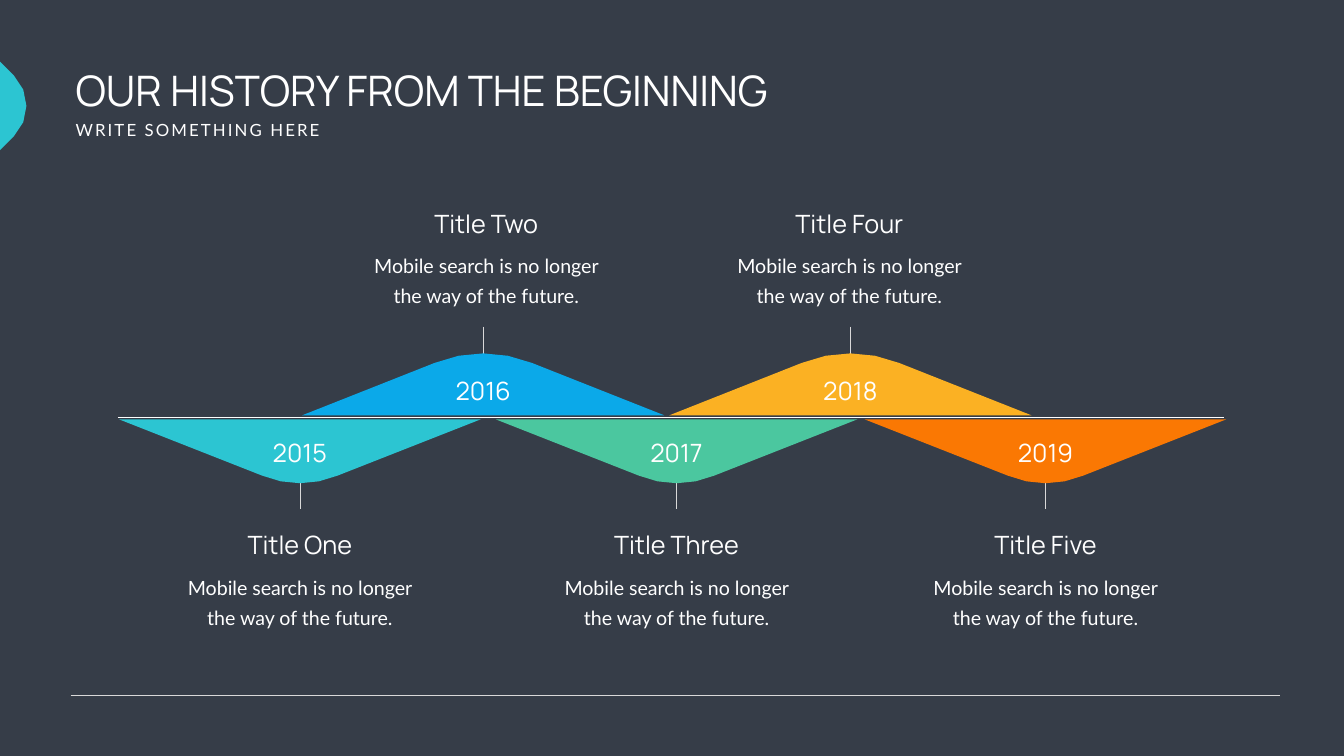
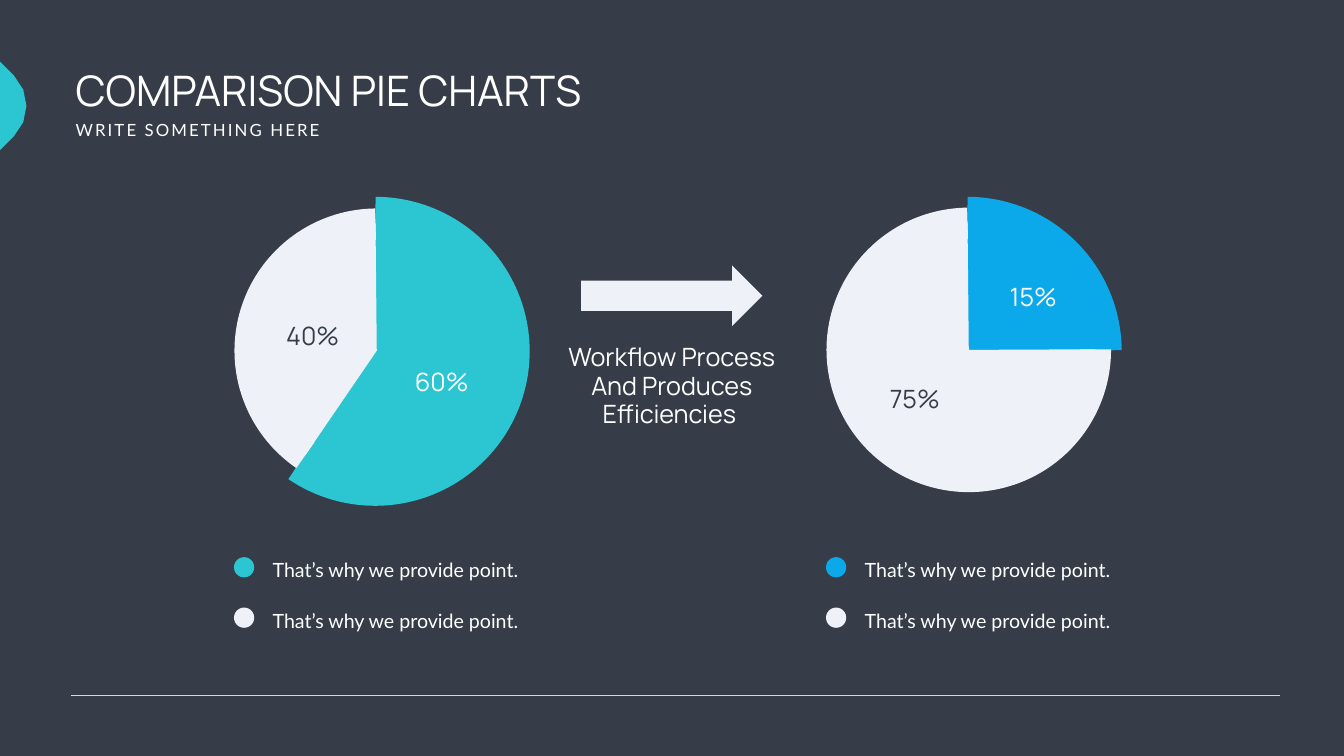
from dataclasses import dataclass

from lxml.etree import SubElement
from pptx import Presentation
from pptx.dml.color import RGBColor
from pptx.enum.shapes import MSO_CONNECTOR, MSO_SHAPE
from pptx.enum.text import MSO_ANCHOR, MSO_AUTO_SIZE, PP_ALIGN
from pptx.oxml.ns import qn
from pptx.util import Cm, Pt


@dataclass(frozen=True)
class Theme:
    """Colours, fonts and type sizes shared by the slides."""
    background: str = "363D48"
    white: str = "FFFFFF"
    pale: str = "EFF1F8"
    rule: str = "D9D9D9"
    teal: str = "2CC5D2"
    blue: str = "0BA9E9"
    green: str = "4BC79F"
    yellow: str = "FBB123"
    orange: str = "FA7803"
    heading_font: str = "Manrope"
    body_font: str = "Lato"
    title_size: float = 60
    heading_size: float = 36
    body_size: float = 28
    subtitle_size: float = 24
    body_leading: float = 43
    caption_leading: float = 40.8


@dataclass(frozen=True)
class Side:
    """Offsets in centimetres of one side of the timeline."""
    direction: int
    base: float
    shoulder: tuple
    control: tuple
    stem: tuple
    title_top: float
    year_top: float


@dataclass(frozen=True)
class Milestone:
    """One dated entry of the timeline."""
    year: str
    title: str
    color: str
    center: float
    title_width: float
    side: Side
    text_shift: float = 0


THEME = Theme()
ABOVE = Side(-1, 10.57, (2.45, 2.64), (0.88, 3.28), (6.1, 8.76), 0, 8.41)
BELOW = Side(1, 10.77, (1.9, 2.84), (0.69, 3.35), (12.65, 15.29), 16.21, 11.53)
MILESTONES = (
    Milestone("2015", "Title One", THEME.teal, 9.17, 6.15, BELOW),
    Milestone("2016", "Title Two", THEME.blue, 18.41, 6.12, ABOVE, 0.15),
    Milestone("2017", "Title Three", THEME.green, 28.15, 7.14, BELOW),
    Milestone("2018", "Title Four", THEME.yellow, 36.91, 6.32, ABOVE, -0.05),
    Milestone("2019", "Title Five", THEME.orange, 46.74, 6.05, BELOW),
)
MILESTONE_TEXT = "Mobile search is no longer the way of the future."
LEGEND_TEXT = "That’s why we provide point."


def rgb(color):
    """Return a colour object for a hexadecimal string."""
    return RGBColor.from_string(color)


def box_lengths(box):
    """Convert a box in centimetres to lengths."""
    return [Cm(value) for value in box]


def format_text(frame, text, *, size, font=THEME.heading_font, color=THEME.white,
                align=PP_ALIGN.LEFT, leading=None, tracking=None, wrap=True,
                insets=(0.25, 0.13)):
    """Write one formatted paragraph into a text frame."""
    frame.auto_size = MSO_AUTO_SIZE.NONE
    frame.word_wrap = wrap
    frame.vertical_anchor = MSO_ANCHOR.TOP
    frame.margin_left = frame.margin_right = Cm(insets[0])
    frame.margin_top = frame.margin_bottom = Cm(insets[1])
    paragraph = frame.paragraphs[0]
    paragraph.alignment = align
    if leading:
        paragraph.line_spacing = Pt(leading)
    run = paragraph.add_run()
    run.text = text
    run.font.name = font
    run.font.size = Pt(size)
    run.font.color.rgb = rgb(color)
    if tracking:
        run._r.get_or_add_rPr().set("spc", str(tracking * 100))


def add_text(slide, box, text, **style):
    """Add a text box with formatted text."""
    shape = slide.shapes.add_textbox(*box_lengths(box))
    format_text(shape.text_frame, text, **style)


def paint(shape, color, line_width=None):
    """Give a shape a flat fill and an optional line of the same colour."""
    shape.shadow.inherit = False
    shape.fill.solid()
    shape.fill.fore_color.rgb = rgb(color)
    if line_width:
        shape.line.color.rgb = rgb(color)
        shape.line.width = Pt(line_width)
    else:
        shape.line.fill.background()


def add_shape(slide, kind, box, color, line_width=None):
    """Add a flat preset shape."""
    shape = slide.shapes.add_shape(kind, *box_lengths(box))
    paint(shape, color, line_width)
    return shape


def add_line(slide, start, end, color, width):
    """Add a straight line without shadow."""
    connector = slide.shapes.add_connector(
        MSO_CONNECTOR.STRAIGHT, *box_lengths(start + end))
    connector.line.color.rgb = rgb(color)
    connector.line.width = Pt(width)
    SubElement(connector._element.spPr, qn("a:effectLst"))


def curve_points(start, first, second, end, steps=4):
    """Return points along a cubic curve."""
    points = []
    for step in range(steps + 1):
        t = step / steps
        u = 1 - t
        weights = (u ** 3, 3 * u * u * t, 3 * u * t * t, t ** 3)
        points.append(tuple(
            sum(weight * value for weight, value in zip(weights, axis))
            for axis in zip(start, first, second, end)))
    return points


def add_outline(slide, points, color):
    """Add a closed flat outline through points in centimetres."""
    corners = [(Cm(x), Cm(y)) for x, y in points]
    builder = slide.shapes.build_freeform(*corners[0])
    builder.add_line_segments(corners[1:], close=True)
    shape = builder.convert_to_shape()
    paint(shape, color)
    return shape


def add_accent(slide, left, top, size):
    """Add the rounded corner that points in from the slide edge."""
    right, bottom = left + size, top + size
    near, far = 0.31 * size, 0.69 * size
    curve = curve_points((left + far, bottom), (left + near, bottom),
                         (left, top + far), (left, top + near))
    shape = add_outline(slide, [(left, top), (right, bottom), *curve], THEME.teal)
    shape.rotation = 225


def start_slide(presentation, title, title_width):
    """Add a slide with the shared background, heading, accent and footer line."""
    slide = presentation.slides.add_slide(presentation.slide_layouts[5])
    slide.background.fill.solid()
    slide.background.fill.fore_color.rgb = rgb(THEME.background)
    add_line(slide, (3.56, 35.03), (64.52, 35.03), THEME.rule, 0.5)
    heading = slide.shapes.title
    heading.left, heading.top, heading.width, heading.height = box_lengths(
        (3.56, 3.13, title_width, 2.82))
    format_text(heading.text_frame, title, size=THEME.title_size)
    add_text(slide, (3.56, 5.92, 13.06, 1.27), "WRITE SOMETHING HERE",
             size=THEME.subtitle_size, font=THEME.body_font, tracking=3, wrap=False)
    add_accent(slide, -1.57, 3.76, 3.15)
    return slide


def add_peak(slide, center, base, side, color):
    """Add a rounded peak that rises from or hangs below its base."""
    half_width = 9.12

    def place(x, rise):
        return center + x, base + side.direction * rise

    (shoulder_x, shoulder_rise), (control_x, control_rise) = side.shoulder, side.control
    curve = curve_points(place(-shoulder_x, shoulder_rise), place(-control_x, control_rise),
                         place(control_x, control_rise), place(shoulder_x, shoulder_rise))
    add_outline(slide, [place(-half_width, 0), *curve, place(half_width, 0)], color)


def add_milestone(slide, left, top, milestone):
    """Add the stem, peak, year and texts of one milestone."""
    side = milestone.side
    center = left + milestone.center
    text_center = center + milestone.text_shift
    title_top = top + side.title_top
    heading = dict(size=THEME.heading_size, align=PP_ALIGN.CENTER, wrap=False)
    stem_top, stem_bottom = side.stem
    add_line(slide, (center, top + stem_top), (center, top + stem_bottom), THEME.rule, 1)
    add_peak(slide, center, top + side.base, side, milestone.color)
    add_text(slide, (center - 1.68, top + side.year_top, 3.35, 1.8),
             milestone.year, **heading)
    add_text(slide, (text_center - milestone.title_width / 2, title_top,
                     milestone.title_width, 1.8), milestone.title, **heading)
    add_text(slide, (text_center - 6.63, title_top + 1.8, 13.26, 3.51), MILESTONE_TEXT,
             size=THEME.body_size, font=THEME.body_font, align=PP_ALIGN.CENTER,
             leading=THEME.body_leading, insets=(0.61, 0.3))


def add_timeline(slide, box):
    """Add all milestones and the axis between them."""
    left, top, width, _ = box
    for milestone in MILESTONES:
        add_milestone(slide, left, top, milestone)
    axis = top + 10.66
    add_line(slide, (left, axis), (left + width, axis), THEME.white, 1.39)


def add_sector(slide, box, color, line_width, angles):
    """Add a filled arc between two angles in degrees."""
    shape = add_shape(slide, MSO_SHAPE.ARC, box, color, line_width)
    for index, angle in enumerate(angles):
        shape.adjustments[index] = angle * 0.6


def add_pie(slide, box, color, split, lift, labels):
    """Add a raised sector, the rest of its pie and their labels."""
    left, top, width, height = box
    add_sector(slide, box, color, 80, (270, split))
    add_sector(slide, (left + 0.08, top - lift, width, height), THEME.pale, 45,
               (split, 269.45))
    for text, text_color, x, y in labels:
        add_text(slide, (left + x, top + y, 4.57, 1.68), text, size=THEME.heading_size,
                 color=text_color, align=PP_ALIGN.CENTER)


def add_legend(slide, left, top, colors):
    """Add one marker and text per colour."""
    for row, color in enumerate(colors):
        row_top = top + row * 2.54
        add_text(slide, (left + 1.7, row_top, 13.06, 1.65), LEGEND_TEXT,
                 size=THEME.body_size, font=THEME.body_font, leading=THEME.body_leading)
        add_shape(slide, MSO_SHAPE.OVAL, (left, row_top + 0.4, 1.02, 1.02), color)


def add_process(slide, box):
    """Add the arrow with its caption below."""
    left, top, width, height = box
    add_shape(slide, MSO_SHAPE.RIGHT_ARROW, (left + 1.14, top, width - 2.29, 3.05), THEME.pale)
    add_text(slide, (left, top + 3.79, width, height - 3.79),
             "Workflow Process And Produces Efficiencies ", size=THEME.heading_size,
             align=PP_ALIGN.CENTER, leading=THEME.caption_leading)


def build_history(presentation):
    """Build the timeline slide."""
    slide = start_slide(presentation, "OUR HISTORY FROM THE BEGINNING", 40.79)
    add_timeline(slide, (5.94, 10.36, 55.75, 21.51))


def build_comparison(presentation):
    """Build the slide with two pies."""
    slide = start_slide(presentation, "COMPARISON PIE CHARTS", 39.62)
    pies = (
        (12.53, THEME.teal, 124.35, 0.03, (("60%", THEME.white, 7.44, 7.01),
                                           ("40%", THEME.background, 0.94, 4.67))),
        (42.36, THEME.blue, 359.72, 0.07, (("15%", THEME.white, 7.42, 2.72),
                                           ("75%", THEME.background, 1.45, 7.85))),
    )
    for left, color, split, lift, labels in pies:
        add_pie(slide, (left, 11.33, 12.75, 12.75), color, split, lift, labels)
        add_legend(slide, left - 0.74, 27.68, (color, THEME.pale))
    add_process(slide, (28.14, 13.38, 11.43, 9.91))


def main():
    """Build and save the presentation."""
    presentation = Presentation()
    presentation.slide_width = Cm(67.72)
    presentation.slide_height = Cm(38.1)
    build_history(presentation)
    build_comparison(presentation)
    presentation.save("out.pptx")


if __name__ == "__main__":
    main()
